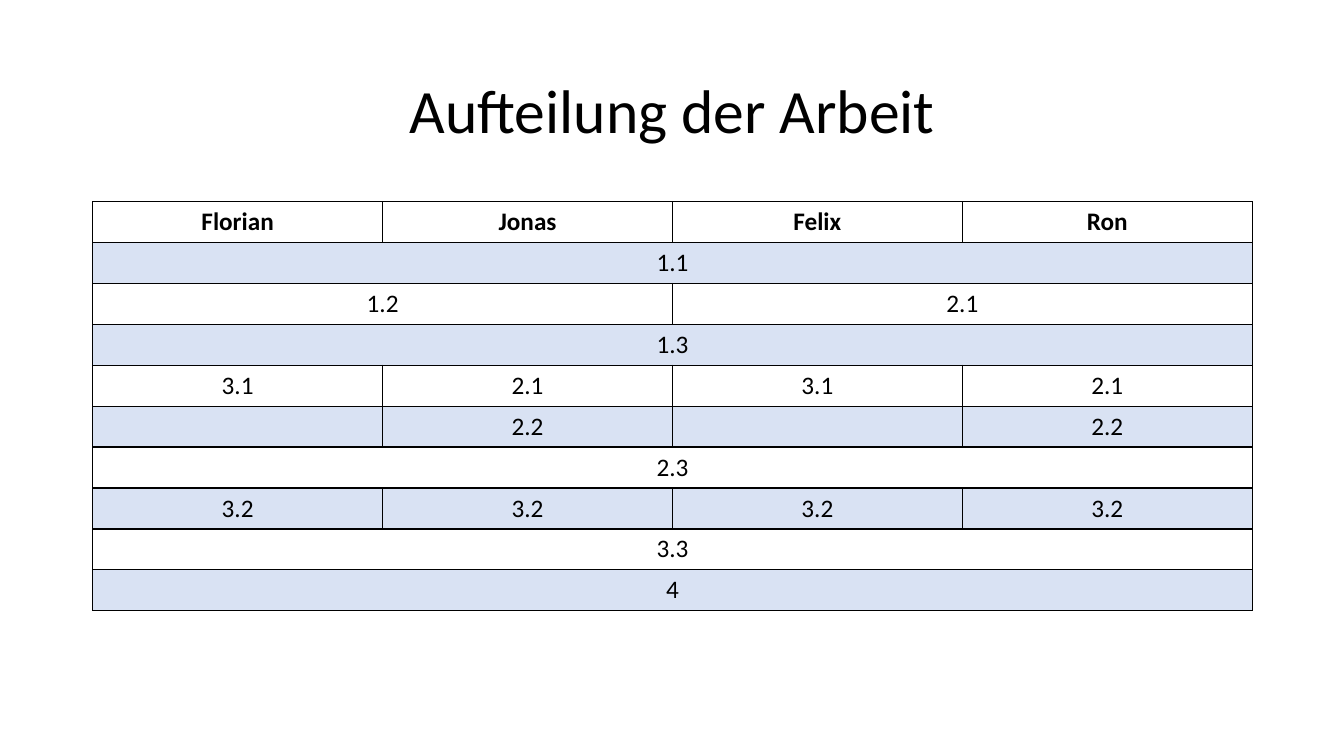
from dataclasses import dataclass

from lxml import etree
from pptx import Presentation
from pptx.dml.color import RGBColor
from pptx.enum.text import MSO_ANCHOR, PP_ALIGN
from pptx.oxml.ns import qn
from pptx.util import Inches, Pt

CENTER = PP_ALIGN.CENTER
MIDDLE = MSO_ANCHOR.MIDDLE
BLANK_LAYOUT = 6
BORDER_TAGS = ("a:lnL", "a:lnR", "a:lnT", "a:lnB")


@dataclass(frozen=True)
class Theme:
    font: str = "Calibri"
    ink: str = "000000"
    band: str = "4472C4"
    band_opacity: int = 20
    title_size: int = 44
    table_size: int = 18
    border_width: int = 1


@dataclass(frozen=True)
class WorkRow:
    tasks: tuple[str, ...]
    shaded: bool = False
    bold: bool = False


THEME = Theme()
LEFT, WIDTH = 0.92, 11.5
TITLE_TOP, TITLE_HEIGHT = 0.4, 1.45
TABLE_TOP, TABLE_HEIGHT = 2, 4.06
PEOPLE = ("Florian", "Jonas", "Felix", "Ron")
WORK_ROWS = (
    WorkRow(PEOPLE, bold=True),
    WorkRow(("1.1",), shaded=True),
    WorkRow(("1.2", "2.1")),
    WorkRow(("1.3",), shaded=True),
    WorkRow(("3.1", "2.1", "3.1", "2.1")),
    WorkRow(("", "2.2", "", "2.2"), shaded=True),
    WorkRow(("2.3",)),
    WorkRow(("3.2",) * len(PEOPLE), shaded=True),
    WorkRow(("3.3",)),
    WorkRow(("4",), shaded=True),
)


def write_centered(frame, text: str, size: int, bold: bool = False) -> None:
    frame.text = text
    paragraph = frame.paragraphs[0]
    paragraph.alignment = CENTER
    for run in paragraph.runs:
        run.font.name = THEME.font
        run.font.size = Pt(size)
        run.font.bold = bold
        run.font.color.rgb = RGBColor.from_string(THEME.ink)


def shade_cell(cell, shaded: bool) -> None:
    if not shaded:
        cell.fill.background()
        return
    cell.fill.solid()
    cell.fill.fore_color.rgb = RGBColor.from_string(THEME.band)
    color = cell._tc.tcPr.find(f"{qn('a:solidFill')}/{qn('a:srgbClr')}")
    etree.SubElement(color, qn("a:alpha"), val=str(THEME.band_opacity * 1000))


def border_cell(cell) -> None:
    properties = cell._tc.get_or_add_tcPr()
    for position, tag in enumerate(BORDER_TAGS):
        border = etree.Element(qn(tag), w=str(Pt(THEME.border_width)))
        fill = etree.SubElement(border, qn("a:solidFill"))
        etree.SubElement(fill, qn("a:srgbClr"), val=THEME.ink)
        properties.insert(position, border)


def add_title(slide, text: str) -> None:
    title = slide.shapes.add_textbox(
        Inches(LEFT), Inches(TITLE_TOP), Inches(WIDTH), Inches(TITLE_HEIGHT)
    )
    frame = title.text_frame
    frame.word_wrap = True
    frame.vertical_anchor = MIDDLE
    write_centered(frame, text, THEME.title_size)
    frame.paragraphs[0].line_spacing = 0.9


def add_work_table(slide, work_rows: tuple[WorkRow, ...]) -> None:
    table = slide.shapes.add_table(
        len(work_rows), len(PEOPLE),
        Inches(LEFT), Inches(TABLE_TOP), Inches(WIDTH), Inches(TABLE_HEIGHT),
    ).table
    table.first_row = False
    table.horz_banding = False
    for row_index, work_row in enumerate(work_rows):
        for column in range(len(PEOPLE)):
            cell = table.cell(row_index, column)
            shade_cell(cell, work_row.shaded)
            border_cell(cell)
        span = len(PEOPLE) // len(work_row.tasks)
        for task_index, task in enumerate(work_row.tasks):
            first = task_index * span
            cell = table.cell(row_index, first)
            if span > 1:
                cell.merge(table.cell(row_index, first + span - 1))
            write_centered(cell.text_frame, task, THEME.table_size, work_row.bold)


def main() -> None:
    presentation = Presentation()
    presentation.slide_width = Inches(13.33)
    presentation.slide_height = Inches(7.5)
    slide = presentation.slides.add_slide(presentation.slide_layouts[BLANK_LAYOUT])
    add_title(slide, "Aufteilung der Arbeit")
    add_work_table(slide, WORK_ROWS)
    presentation.save("out.pptx")


if __name__ == "__main__":
    main()
